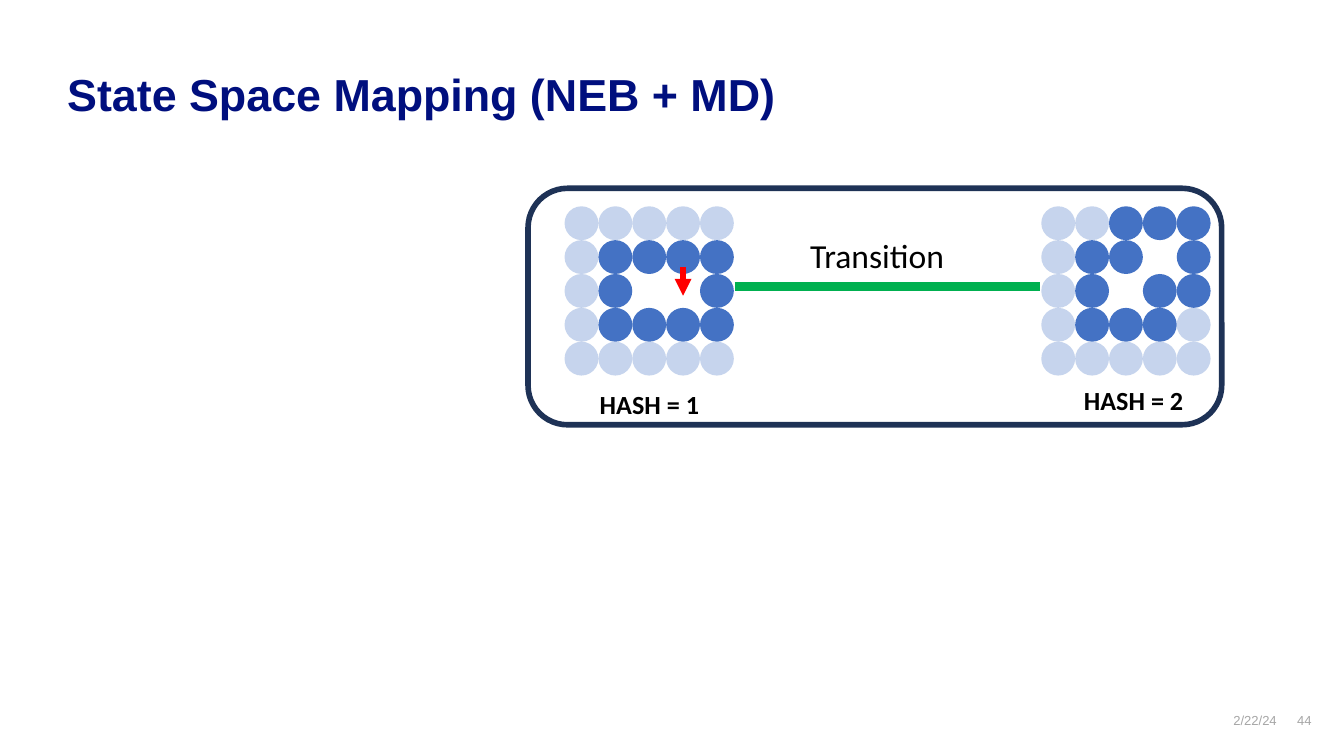
from dataclasses import dataclass

from lxml import etree
from pptx import Presentation
from pptx.dml.color import RGBColor
from pptx.enum import shapes, text
from pptx.oxml import ns
from pptx.util import Cm, Pt


@dataclass(frozen=True)
class Theme:
    navy: str = "000F7E"
    frame: str = "1E3256"
    atom: str = "4472C4"
    path_green: str = "00B050"
    move_red: str = "FF0000"
    ink: str = "000000"
    grey: str = "A6A6A6"
    heading_font: str = "Arial"
    label_font: str = "Calibri"
    title_size: float = 24
    label_size: float = 18
    hash_size: float = 14
    footer_size: float = 7
    faded_alpha: int = 30


def write_text(frame, content, *, font, size, color, bold=False,
               align=text.PP_ALIGN.LEFT, margins=(0, 0), wrap=True):
    frame.word_wrap = wrap
    frame.auto_size = text.MSO_AUTO_SIZE.NONE
    frame.vertical_anchor = text.MSO_ANCHOR.TOP
    frame.margin_left = frame.margin_right = Cm(margins[0])
    frame.margin_top = frame.margin_bottom = Cm(margins[1])
    paragraph = frame.paragraphs[0]
    paragraph.alignment = align
    run = paragraph.add_run()
    run.text = content
    run.font.name = font
    run.font.size = Pt(size)
    run.font.bold = bold
    run.font.color.rgb = RGBColor.from_string(color)


class SlideBuilder:
    def __init__(self, slide, theme):
        self.slide = slide
        self.theme = theme

    def title(self, content, left, top, width, height):
        heading = self.slide.shapes.title
        heading.left, heading.top = Cm(left), Cm(top)
        heading.width, heading.height = Cm(width), Cm(height)
        write_text(heading.text_frame, content, font=self.theme.heading_font,
                   size=self.theme.title_size, color=self.theme.navy, bold=True)

    def label(self, content, left, top, width, height, **style):
        box = self.slide.shapes.add_textbox(Cm(left), Cm(top), Cm(width), Cm(height))
        write_text(box.text_frame, content, **style)

    def lattice(self, rows, left, top, pitch):
        group = self.slide.shapes.add_group_shape()
        for row, sites in enumerate(rows):
            for column, site in enumerate(sites):
                if site == " ":
                    continue
                atom = group.shapes.add_shape(
                    shapes.MSO_SHAPE.OVAL, Cm(left + column * pitch),
                    Cm(top + row * pitch), Cm(pitch), Cm(pitch))
                atom.shadow.inherit = False
                atom.fill.solid()
                atom.fill.fore_color.rgb = RGBColor.from_string(self.theme.atom)
                atom.line.fill.background()
                if site == "o":
                    tint = atom.fill._xPr.find(".//" + ns.qn("a:srgbClr"))
                    etree.SubElement(tint, ns.qn("a:alpha"),
                                     val=str(self.theme.faded_alpha * 1000))

    def frame(self, left, top, width, height, color, weight):
        border = self.slide.shapes.add_shape(
            shapes.MSO_SHAPE.ROUNDED_RECTANGLE,
            Cm(left), Cm(top), Cm(width), Cm(height))
        border.shadow.inherit = False
        border.fill.background()
        border.line.color.rgb = RGBColor.from_string(color)
        border.line.width = Pt(weight)

    def line(self, start, end, color, weight, arrow=False):
        connector = self.slide.shapes.add_connector(
            shapes.MSO_CONNECTOR.STRAIGHT,
            Cm(start[0]), Cm(start[1]), Cm(end[0]), Cm(end[1]))
        connector.line.color.rgb = RGBColor.from_string(color)
        connector.line.width = Pt(weight)
        properties = connector._element.spPr
        if arrow:
            etree.SubElement(properties.find(ns.qn("a:ln")),
                             ns.qn("a:tailEnd"), type="triangle")
        etree.SubElement(properties, ns.qn("a:effectLst"))


def main():
    theme = Theme()
    deck = Presentation()
    deck.slide_width, deck.slide_height = Cm(25.4), Cm(14.29)
    page = SlideBuilder(deck.slides.add_slide(deck.slide_layouts[5]), theme)

    footer = dict(font=theme.heading_font, size=theme.footer_size,
                  color=theme.grey, align=text.PP_ALIGN.RIGHT)
    page.label("44", 24.18, 13.46, 0.61, 0.56, **footer)
    page.label("2/22/24", 22.43, 13.46, 1.7, 0.41, **footer)
    page.title("State Space Mapping (NEB + MD)", 1.27, 1.27, 22.94, 1.85)

    pitch, lattice_top = 0.64, 3.9
    initial_state = ("ooooo", "o####", "o#  #", "o####", "ooooo")
    final_state = ("oo###", "o## #", "o# ##", "o###o", "ooooo")
    page.lattice(final_state, 19.68, lattice_top, pitch)
    page.line((13.89, 5.41), (19.66, 5.41), theme.path_green, 5)
    page.lattice(initial_state, 10.67, lattice_top, pitch)

    caption = dict(font=theme.label_font, color=theme.ink,
                   margins=(0.25, 0.13), wrap=False)
    for content, left, top in (("HASH = 2", 20.22, 7.14), ("HASH = 1", 11.07, 7.21)):
        page.label(content, left, top, 2.41, 0.86, size=theme.hash_size,
                   bold=True, align=text.PP_ALIGN.CENTER, **caption)
    page.label("Transition", 15.06, 4.32, 3.07, 1.02,
               size=theme.label_size, **caption)

    page.frame(9.98, 3.56, 13.11, 4.47, theme.frame, 3)
    page.line((12.91, 5.05), (12.91, 5.59), theme.move_red, 3, arrow=True)
    deck.save("out.pptx")


if __name__ == "__main__":
    main()
